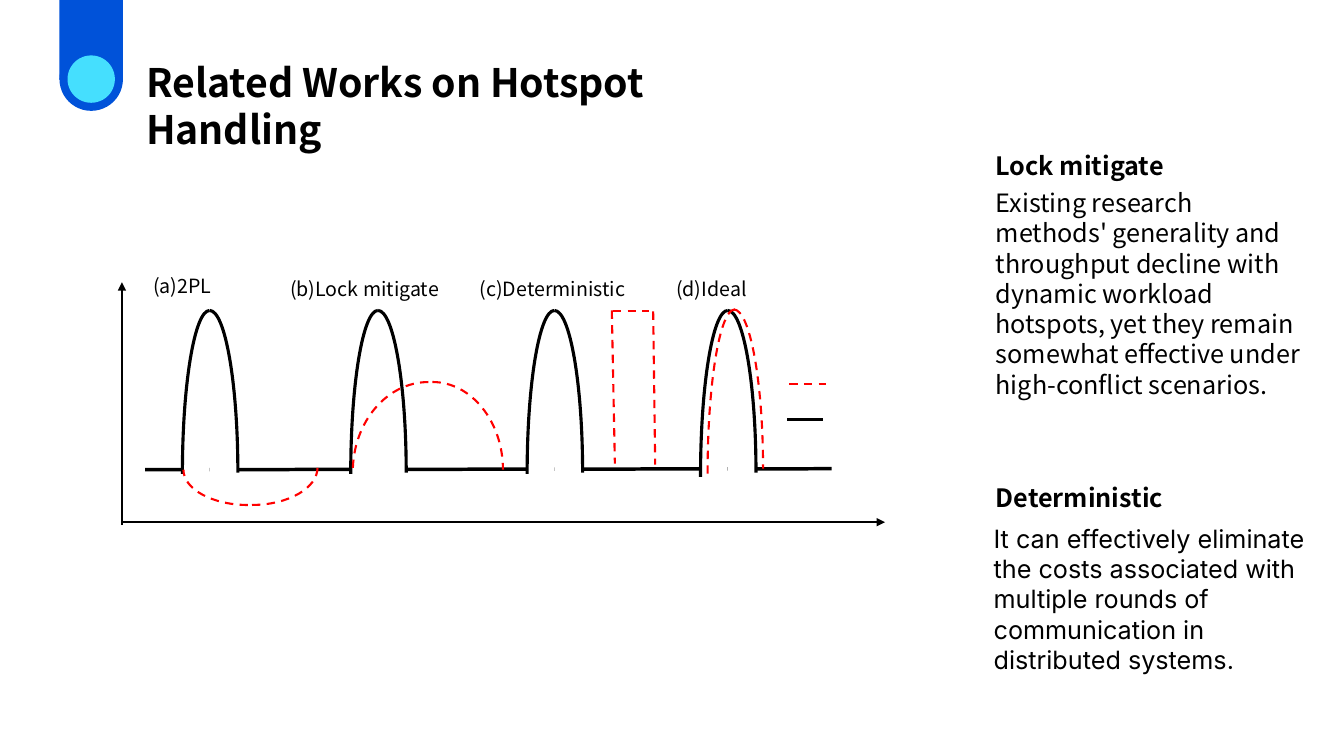
"""Build the slide on related works for hotspot handling."""
from dataclasses import dataclass

import pptx
import pptx.dml.color
import pptx.enum.dml
import pptx.enum.shapes
import pptx.enum.text
import pptx.oxml
import pptx.oxml.ns
import pptx.util

Inches = pptx.util.Inches
RGB = pptx.dml.color.RGBColor
SHAPE = pptx.enum.shapes.MSO_SHAPE
Point = tuple[float, float]
Box = tuple[float, float, float, float]
ELLIPSE_HANDLE = 0.55
NS = pptx.oxml.ns.nsdecls("a")


@dataclass(frozen=True)
class Theme:
    ink: RGB = RGB(0, 0, 0)
    paper: RGB = RGB(255, 255, 255)
    blue: RGB = RGB(0x00, 0x52, 0xD9)
    cyan: RGB = RGB(0x45, 0xDF, 0xFE)
    red: RGB = RGB(255, 0, 0)
    font: str = "Noto Sans CJK SC"
    alt_font: str = "Inter"
    title: float = 28
    body: float = 18
    label: float = 14


THEME = Theme()


@dataclass(frozen=True)
class Stroke:
    color: RGB
    width: float
    dashed: bool = False
    arrow: bool = False


AXIS = Stroke(THEME.ink, 1, arrow=True)
BASE = Stroke(THEME.ink, 2.5)
SOLID = Stroke(THEME.ink, 2.25)
DASH = Stroke(THEME.red, 1.5, dashed=True)


@dataclass(frozen=True)
class Badge:
    kind: SHAPE
    box: Box
    color: RGB


@dataclass(frozen=True)
class Segment:
    start: Point
    end: Point
    stroke: Stroke


@dataclass(frozen=True)
class Quarter:
    apex: Point
    foot: Point
    stroke: Stroke


@dataclass(frozen=True)
class Text:
    text: str
    box: Box
    size: float
    bold: bool = False
    font: str = THEME.font


BADGES = [
    Badge(SHAPE.RECTANGLE, (0.59, 0, 0.63, 0.79), THEME.blue),
    Badge(SHAPE.OVAL, (0.59, 0.47, 0.63, 0.63), THEME.blue),
    Badge(SHAPE.OVAL, (0.67, 0.55, 0.47, 0.47), THEME.cyan),
]
AXES = [
    Segment((1.21, 5.18), (8.78, 5.18), AXIS),
    Segment((1.21, 5.21), (1.21, 2.8), AXIS),
    Segment((1.44, 4.66), (8.25, 4.65), BASE),
]
PEAKS = [
    Quarter((x, 3.08), foot, SOLID)
    for x, left_foot in [(3.75, 4.7), (5.5, 4.7), (7.22, 4.73), (2.08, 4.7)]
    for foot in [(x - 0.27, left_foot), (x + 0.28, 4.69)]
]
RESPONSES = [
    Quarter((7.29, 3.07), (7.02, 4.7), DASH),
    Quarter((7.28, 3.07), (7.57, 4.65), DASH),
    Quarter((4.25, 3.79), (3.5, 4.68), DASH),
    Quarter((4.29, 3.79), (4.99, 4.66), DASH),
    Quarter((2.46, 5.01), (1.82, 4.66), DASH),
    Quarter((2.5, 5.01), (3.15, 4.64), DASH),
]
BLOCK_AND_LEGEND = [
    Segment((6.07, 3.08), (6.1, 4.6), DASH),
    Segment((6.48, 3.09), (6.5, 4.61), DASH),
    Segment((6.08, 3.09), (6.44, 3.09), DASH),
    Segment((7.81, 4.16), (8.17, 4.16), SOLID),
    Segment((7.83, 3.81), (8.19, 3.81), DASH),
]
TITLE = Text("Related Works on Hotspot Handling", (1.35, 0.53, 6.67, 0.57), THEME.title, True)
TEXTS = [
    Text("(a)2PL", (1.42, 2.67, 1.25, 0.39), THEME.label),
    Text("(b)Lock mitigate", (2.78, 2.7, 1.9, 0.32), THEME.label),
    Text("(c)Deterministic", (4.66, 2.7, 1.84, 0.4), THEME.label),
    Text("(d)Ideal", (6.61, 2.7, 1.69, 0.39), THEME.label),
    Text("Lock mitigate", (9.78, 1.44, 1.95, 0.4), THEME.body, True),
    Text("Deterministic", (9.78, 4.74, 2.15, 0.4), THEME.body, True),
    Text("Existing research methods' generality and throughput decline with dynamic "
         "workload hotspots, yet they remain somewhat effective under "
         "high-conflict scenarios.", (9.78, 1.81, 3.3, 2.22), THEME.body),
    Text("It can effectively eliminate the costs associated with multiple rounds of "
         "communication in distributed systems.", (9.76, 5.14, 3.3, 1.31),
         THEME.body, font=THEME.alt_font),
]


def apply_stroke(line: pptx.dml.line.LineFormat, stroke: Stroke) -> None:
    line.color.rgb = stroke.color
    line.width = pptx.util.Pt(stroke.width)
    if stroke.dashed:
        line.dash_style = pptx.enum.dml.MSO_LINE.DASH


def draw_badge(shapes: pptx.shapes.shapetree.SlideShapes, badge: Badge) -> None:
    sp = shapes.add_shape(badge.kind, *map(Inches, badge.box))
    sp.shadow.inherit = False
    sp.fill.solid()
    sp.fill.fore_color.rgb = badge.color
    sp.line.fill.background()


def draw_segment(shapes: pptx.shapes.shapetree.SlideShapes, seg: Segment) -> None:
    ends = map(Inches, (*seg.start, *seg.end))
    cxn = shapes.add_connector(pptx.enum.shapes.MSO_CONNECTOR.STRAIGHT, *ends)
    apply_stroke(cxn.line, seg.stroke)
    if seg.stroke.arrow:
        ln = cxn.line._get_or_add_ln()
        ln.append(pptx.oxml.parse_xml(f'<a:tailEnd {NS} type="triangle"/>'))
    cxn._element.spPr.append(pptx.oxml.parse_xml(f"<a:effectLst {NS}/>"))


def quarter_paths(quarter: Quarter) -> str:
    (ax, ay), (fx, fy) = quarter.apex, quarter.foot
    left, top = min(ax, fx), min(ay, fy)

    def pt(x: float, y: float) -> str:
        return f'<a:pt x="{Inches(x - left)}" y="{Inches(y - top)}"/>'

    size = f'w="{Inches(abs(fx - ax))}" h="{Inches(abs(fy - ay))}"'
    handles = (pt(ax + ELLIPSE_HANDLE * (fx - ax), ay)
               + pt(fx, fy + ELLIPSE_HANDLE * (ay - fy)))
    curve = (f"<a:moveTo>{pt(ax, ay)}</a:moveTo>"
             f"<a:cubicBezTo>{handles}{pt(fx, fy)}</a:cubicBezTo>")
    return (f'<a:pathLst {NS}><a:path {size} fill="none">{curve}</a:path>'
            f'<a:path {size} stroke="0">{curve}<a:lnTo>{pt(ax, fy)}</a:lnTo>'
            "<a:close/></a:path></a:pathLst>")


def draw_quarter(shapes: pptx.shapes.shapetree.SlideShapes, quarter: Quarter) -> None:
    builder = shapes.build_freeform(*map(Inches, quarter.apex))
    builder.add_line_segments([tuple(map(Inches, quarter.foot))], close=False)
    sp = builder.convert_to_shape()
    paths = sp._element.xpath(".//a:pathLst")[0]
    paths.getparent().replace(paths, pptx.oxml.parse_xml(quarter_paths(quarter)))
    sp.shadow.inherit = False
    if quarter.stroke.dashed:
        sp.fill.background()
    else:
        sp.fill.solid()
        sp.fill.fore_color.rgb = THEME.paper
    apply_stroke(sp.line, quarter.stroke)


def write_text(sp: pptx.shapes.autoshape.Shape, item: Text) -> None:
    sp.left, sp.top, sp.width, sp.height = map(Inches, item.box)
    tf = sp.text_frame
    tf.word_wrap = True
    tf.auto_size = pptx.enum.text.MSO_AUTO_SIZE.NONE
    tf.vertical_anchor = pptx.enum.text.MSO_ANCHOR.TOP
    tf.text = item.text
    p = tf.paragraphs[0]
    p.alignment = pptx.enum.text.PP_ALIGN.LEFT
    p.font.name = item.font
    p.font.size = pptx.util.Pt(item.size)
    p.font.bold = item.bold
    p.font.color.rgb = THEME.ink


def main() -> None:
    prs = pptx.Presentation()
    prs.slide_width, prs.slide_height = Inches(40 / 3), Inches(7.5)
    s = prs.slides.add_slide(prs.slide_layouts[5])
    write_text(s.shapes.title, TITLE)
    for badge in BADGES:
        draw_badge(s.shapes, badge)
    for seg in AXES:
        draw_segment(s.shapes, seg)
    for quarter in PEAKS + RESPONSES:
        draw_quarter(s.shapes, quarter)
    for seg in BLOCK_AND_LEGEND:
        draw_segment(s.shapes, seg)
    for item in TEXTS:
        write_text(s.shapes.add_textbox(*map(Inches, item.box)), item)
    prs.save("out.pptx")


if __name__ == "__main__":
    main()
